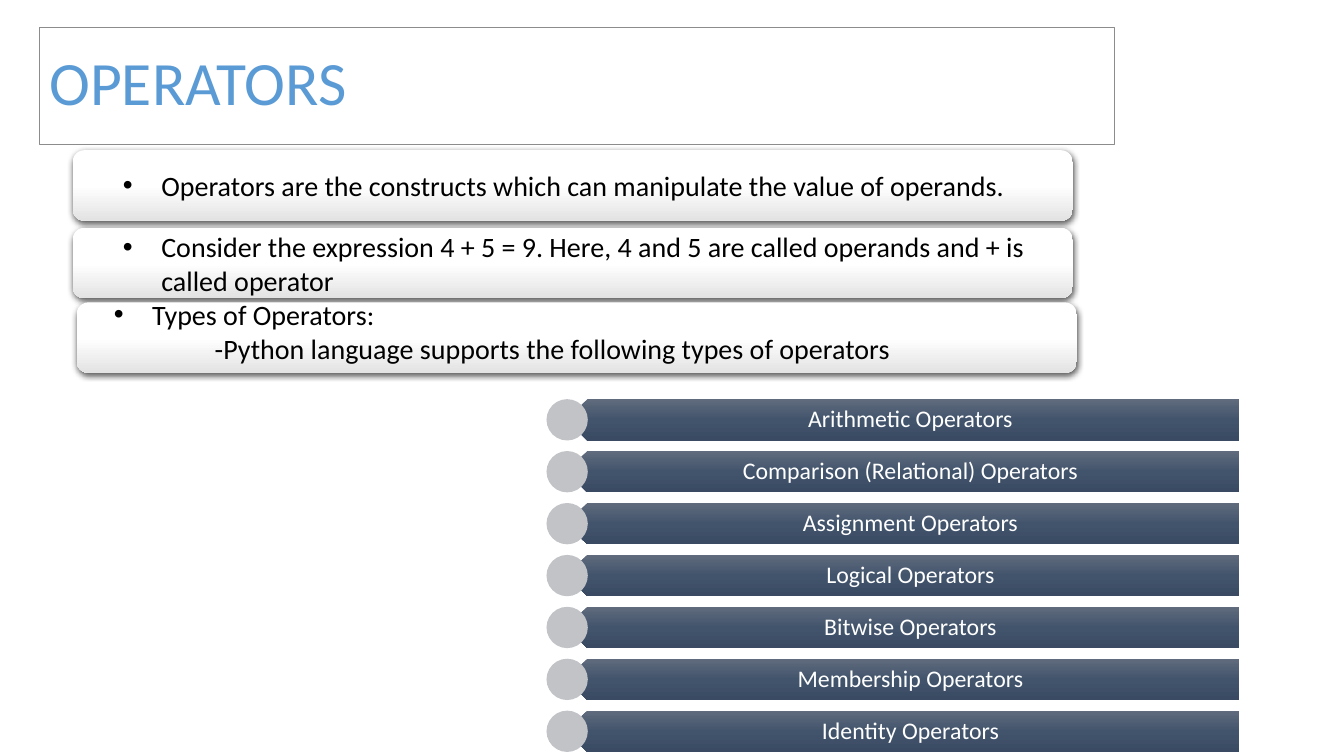
from dataclasses import dataclass
from pptx import Presentation
from pptx.dml.color import RGBColor
from pptx.enum.shapes import MSO_SHAPE
from pptx.enum.text import MSO_ANCHOR, MSO_AUTO_SIZE, PP_ALIGN
from pptx.oxml import parse_xml
from pptx.util import Inches, Pt

NS = 'xmlns:a="http://schemas.openxmlformats.org/drawingml/2006/main"'
CELL = 0.1


@dataclass(frozen=True)
class Theme:
    """Colours, type sizes and font of the slide."""
    font: str = "Calibri"
    head: str = "5B9BD5"
    frame: str = "8C8C8C"
    ink: str = "000000"
    pale: str = "FFFFFF"
    dot: str = "C1C3C7"
    card: tuple = ("FFFFFF", "FFFFFF", "E3E3E3")
    bar: tuple = ("606B7D", "42546C", "394A62")
    big: int = 44
    body: int = 20
    small: int = 17


def apply(item, vals):
    """Set each attribute of item from a dict."""
    for name, val in vals.items():
        setattr(item, name, val)


def grid(*cells):
    """Turn grid cells into lengths."""
    return [Inches(round(n * CELL, 3)) for n in cells]


class Deck:
    """Draw styled elements on the current slide."""

    def __init__(self, theme):
        """Open a wide deck with one title-only slide."""
        self.theme = theme
        self.deck = Presentation()
        apply(self.deck, {"slide_width": Inches(13.33), "slide_height": Inches(7.5)})
        self.slide = self.deck.slides.add_slide(self.deck.slide_layouts[5])

    def style(self, par, text, size, tint, **form):
        """Fill a paragraph with text in the theme font."""
        par.text = text
        apply(par, form)
        apply(par.font, {"name": self.theme.font, "size": Pt(size)})
        par.font.color.rgb = RGBColor.from_string(tint)

    def title(self, text, box):
        """Place and frame the title."""
        head = self.slide.shapes.title
        apply(head, dict(zip(("left", "top", "width", "height"), grid(*box))))
        head.line.color.rgb = RGBColor.from_string(self.theme.frame)
        head.line.width = Pt(0.75)
        apply(head.text_frame, {"vertical_anchor": MSO_ANCHOR.MIDDLE,
                                "word_wrap": True, "auto_size": MSO_AUTO_SIZE.NONE})
        self.style(head.text_frame.paragraphs[0], text, self.theme.big,
                   self.theme.head, alignment=PP_ALIGN.LEFT, line_spacing=0.9)

    def shape(self, kind, box, fill, turn=0):
        """Add a borderless shape with a flat or graded fill."""
        item = self.slide.shapes.add_shape(kind, *grid(*box))
        item.rotation = turn
        item.line.fill.background()
        item.shadow.inherit = False
        if isinstance(fill, str):
            item.fill.solid()
            item.fill.fore_color.rgb = RGBColor.from_string(fill)
        else:
            stops = "".join(f'<a:gs pos="{n * 50000}"><a:srgbClr val="{tint}"/></a:gs>'
                            for n, tint in enumerate(fill))
            item._element.spPr.find("{*}prstGeom").addnext(parse_xml(
                f'<a:gradFill {NS} rotWithShape="0"><a:gsLst>{stops}</a:gsLst>'
                '<a:lin ang="5400000" scaled="0"/></a:gradFill>'))
        return item

    def text(self, box, pad):
        """Add an empty wrapped text box and return its frame."""
        frame = self.slide.shapes.add_textbox(*grid(*box)).text_frame
        sides = ("margin_left", "margin_top", "margin_right", "margin_bottom")
        apply(frame, dict(zip(sides, grid(*pad))))
        apply(frame, {"word_wrap": True, "vertical_anchor": MSO_ANCHOR.MIDDLE})
        return frame

    def card(self, spot, place, lines):
        """Add a raised card with a bullet and any indented lines below."""
        item = self.shape(MSO_SHAPE.ROUNDED_RECTANGLE, (*spot, 99.2, 7), self.theme.card)
        item._element.spPr.find("{*}effectLst").append(parse_xml(
            f'<a:outerShdw {NS} blurRad="57150" dist="19050" dir="5400000" '
            'algn="ctr" rotWithShape="0"><a:srgbClr val="000000">'
            '<a:alpha val="63000"/></a:srgbClr></a:outerShdw>'))
        frame = self.text((*place, 92.6, 6.3), [0.8] * 4)
        for n, line in enumerate(lines):
            par = frame.add_paragraph() if n else frame.paragraphs[0]
            props = par._p.get_or_add_pPr()
            if n:
                props.set("marL", str(Inches(1)))
            else:
                props.set("marL", str(Inches(0.38)))
                props.set("indent", str(-Inches(0.38)))
                props.append(parse_xml(f'<a:buFont {NS} typeface="Arial"/>'))
                props.append(parse_xml(f'<a:buChar {NS} char="•"/>'))
            self.style(par, line, self.theme.body, self.theme.ink)

    def bar(self, top, label):
        """Add a labelled bar with a round marker."""
        self.shape(MSO_SHAPE.PENTAGON, (56.2, top, 66.7, 4.1), self.theme.bar, 180)
        frame = self.text((57.2, top, 65.7, 4.1), (1.8, 0.7, 1.3, 0.7))
        self.style(frame.paragraphs[0], label, self.theme.small, self.theme.pale,
                   alignment=PP_ALIGN.CENTER, line_spacing=0.9)
        self.shape(MSO_SHAPE.OVAL, (54.2, top, 4.1, 4.1), self.theme.dot)


CARDS = [
    ((7.2, 14.9), (11.4, 15.2),
     ["Operators are the constructs which can manipulate the value of operands."]),
    ((7.2, 22.6), (11.4, 23),
     ["Consider the expression 4 + 5 = 9. Here, 4 and 5 are called operands "
      "and + is called operator"]),
    ((7.6, 30), (10.5, 29.7),
     ["Types of Operators:",
      "-Python language supports the following types of operators"]),
]
KINDS = ["Arithmetic", "Comparison (Relational)", "Assignment", "Logical",
         "Bitwise", "Membership", "Identity"]


def main():
    """Build and save the slide."""
    deck = Deck(Theme())
    deck.title("OPERATORS", (3.9, 2.7, 106.6, 11.6))
    for spot, place, lines in CARDS:
        deck.card(spot, place, lines)
    for n, kind in enumerate(KINDS):
        deck.bar(39.6 + 5.15 * n, f"{kind} Operators")
    deck.deck.save("out.pptx")


if __name__ == "__main__":
    main()
